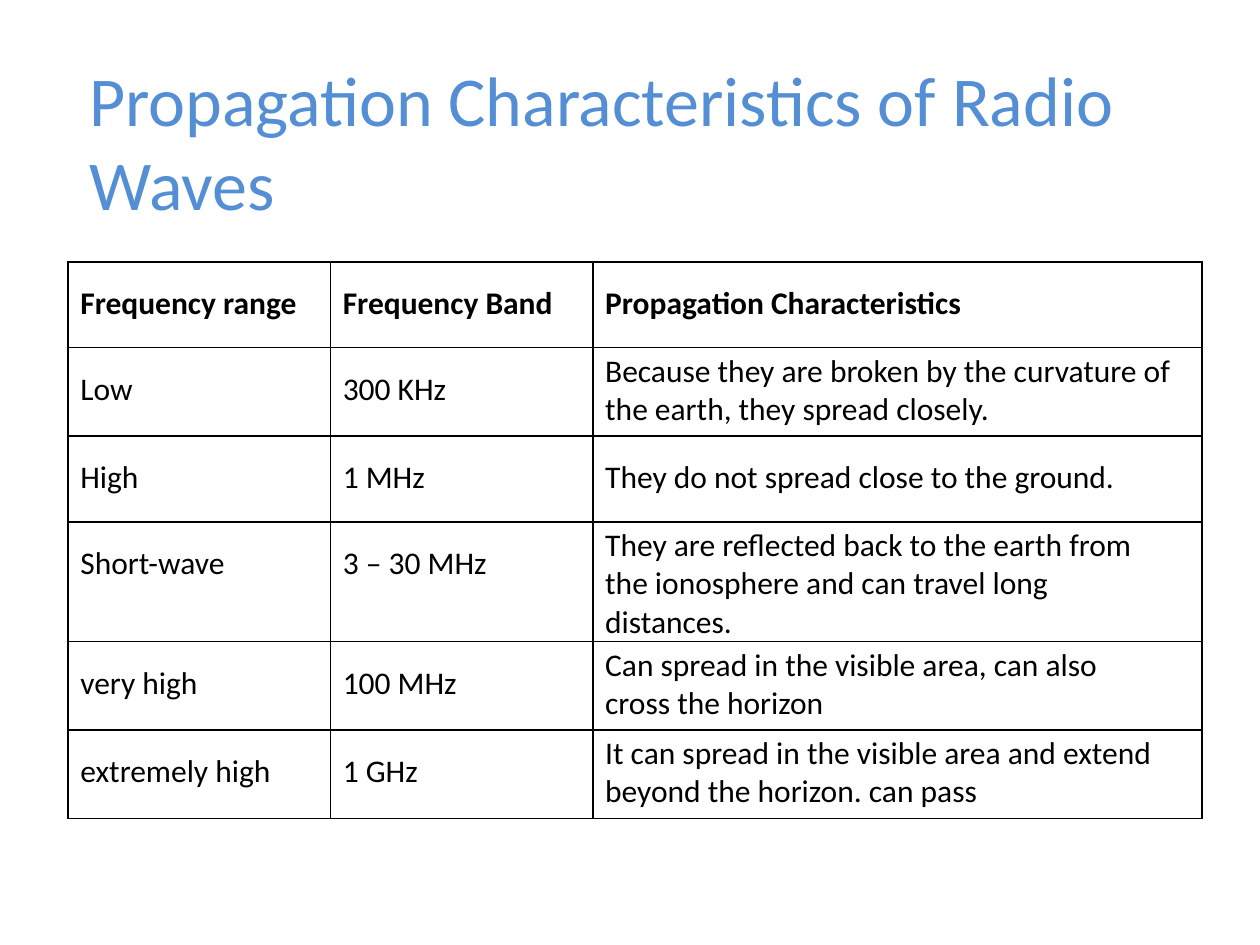
from lxml import etree
from pptx import Presentation
from pptx.dml.color import RGBColor
from pptx.enum import text
from pptx.oxml import ns
from pptx.util import Cm, Pt

TITLE = "Propagation Characteristics of Radio Waves"
HEADER = ("Frequency range", "Frequency Band", "Propagation Characteristics")
# Range, band, description, right margin of the description in cm
BANDS = [
    ("Low", "300 KHz",
     "Because they are broken by the curvature of the earth, they spread closely.", 0),
    ("High", "1 MHz", "They do not spread close to the ground.", 0),
    ("Short-wave", "3 – 30 MHz",
     "They are reflected back to the earth from the ionosphere and can travel long distances.", 1),
    ("very high", "100 MHz",
     "Can spread in the visible area, can also cross the horizon", 1),
    ("extremely high", "1 GHz",
     "It can spread in the visible area and extend beyond the horizon. can pass", 0),
]
COLUMN_WIDTHS = (5.29, 5.29, 12.28)
ROW_HEIGHTS = (1.73, 1.78, 1.73, 1.78, 1.78, 1.78)
ONE_LINE_TOP, WRAPPED_TOP = 0.45, 0.09
ONE_LINE_LENGTH = 40
FONT = "Calibri"


def set_font(para, size, color, bold=False):
    font = para.font
    font.name, font.size, font.bold = FONT, Pt(size), bold
    font.color.rgb = RGBColor.from_string(color)


def set_borders(cell, color="000000", width=1):
    properties = cell._tc.get_or_add_tcPr()
    for index, side in enumerate(("lnL", "lnR", "lnT", "lnB")):
        line = etree.Element(ns.qn(f"a:{side}"), w=str(Pt(width)))
        fill = etree.SubElement(line, ns.qn("a:solidFill"))
        etree.SubElement(fill, ns.qn("a:srgbClr"), val=color)
        properties.insert(index, line)


def fill_cell(cell, words, bold, right):
    cell.text = words
    cell.fill.background()
    cell.vertical_anchor = text.MSO_ANCHOR.TOP
    cell.margin_left, cell.margin_right = Cm(0.25), Cm(right)
    wrapped = len(words) >= ONE_LINE_LENGTH
    cell.margin_top = Cm(WRAPPED_TOP if wrapped else ONE_LINE_TOP)
    cell.margin_bottom = 0
    set_font(cell.text_frame.paragraphs[0], 18, "000000", bold)
    set_borders(cell)


def add_title(page):
    title = page.shapes.title
    title.left, title.top, title.width, title.height = Cm(1.8), Cm(1.1), Cm(22), Cm(3.45)
    frame = title.text_frame
    frame.text = TITLE
    frame.word_wrap = True
    frame.vertical_anchor = text.MSO_ANCHOR.TOP
    frame.margin_left = frame.margin_right = frame.margin_bottom = 0
    frame.margin_top = Cm(0.03)
    para = frame.paragraphs[0]
    para.alignment = text.PP_ALIGN.LEFT
    set_font(para, 40, "548ED4")


def add_band_table(page):
    rows = [(*HEADER, 0), *BANDS]
    table = page.shapes.add_table(
        len(rows), len(HEADER), Cm(1.37), Cm(5.28),
        Cm(sum(COLUMN_WIDTHS)), Cm(sum(ROW_HEIGHTS))).table
    table.first_row = table.horz_banding = False
    for column, width in zip(table.columns, COLUMN_WIDTHS):
        column.width = Cm(width)
    for r, (*words, right) in enumerate(rows):
        table.rows[r].height = Cm(ROW_HEIGHTS[r])
        for c, entry in enumerate(words):
            fill_cell(table.cell(r, c), entry, r == 0, right if c == 2 else 0)


def main():
    deck = Presentation()
    deck.slide_width, deck.slide_height = Cm(25.4), Cm(19.05)
    page = deck.slides.add_slide(deck.slide_layouts.get_by_name("Title Only"))
    add_title(page)
    add_band_table(page)
    deck.save("out.pptx")


if __name__ == "__main__":
    main()
